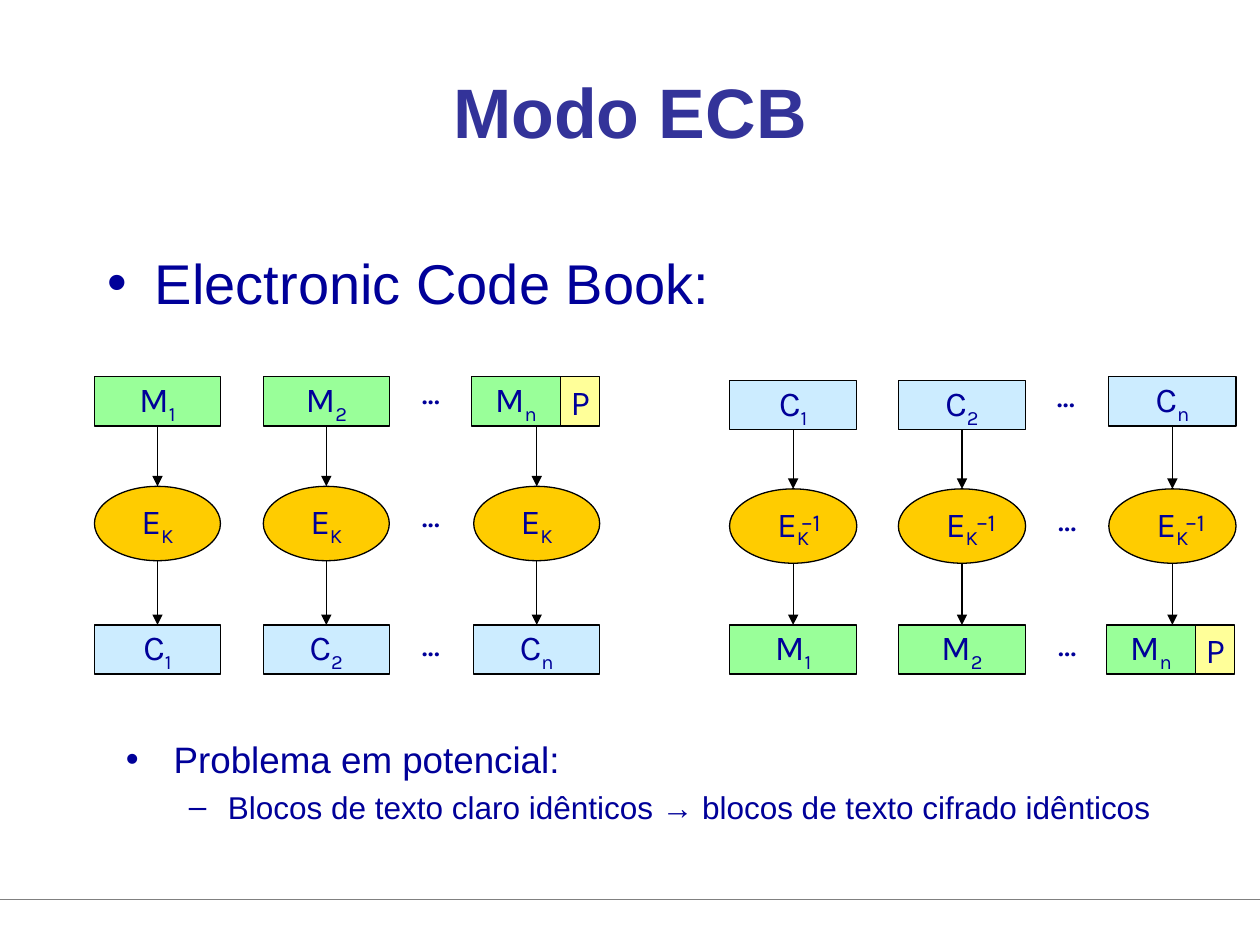
from lxml.etree import SubElement
from pptx import Presentation
from pptx.dml.color import RGBColor
from pptx.enum.shapes import MSO_CONNECTOR, MSO_SHAPE
from pptx.enum.text import MSO_ANCHOR, MSO_AUTO_SIZE, PP_ALIGN
from pptx.oxml.ns import qn
from pptx.util import Inches, Pt

NAVY, GREEN, BLUE, YELLOW, ORANGE = "000099", "99FF99", "CCECFF", "FFFF99", "FFCC00"
TOP, BOTTOM = 0, 2

prs = Presentation()
prs.slide_width, prs.slide_height = Inches(10), Inches(7.5)
s = prs.slides.add_slide(prs.slide_layouts[1])


def add_run(p, text, size, font="Karla", color=NAVY, baseline=0):
    r = p.add_run()
    r.text = text
    r.font.size, r.font.name = Pt(size), font
    r.font.color.rgb = RGBColor.from_string(color)
    if baseline:
        r.font._element.set("baseline", str(baseline * 1000))
    return r


def add_block(kind, x, y, w, h, fill, letter, sub=""):
    """Add an outlined shape labelled with a letter and its subscript."""
    sp = s.shapes.add_shape(kind, Inches(x), Inches(y), Inches(w), Inches(h))
    sp.shadow.inherit = False
    sp.fill.solid()
    sp.fill.fore_color.rgb = RGBColor.from_string(fill)
    sp.line.color.rgb = RGBColor.from_string("000000")
    sp.line.width = Pt(0.75)
    tf = sp.text_frame
    tf.word_wrap = False
    tf.vertical_anchor = MSO_ANCHOR.MIDDLE
    p = tf.paragraphs[0]
    p.alignment = PP_ALIGN.CENTER
    add_run(p, letter, 20)
    if sub:
        add_run(p, sub, 20, baseline=-25)
    return sp


# Title
title = s.shapes.title
title.left, title.top, title.width, title.height = map(Inches, (0.75, 0.25, 8.5, 1.25))
title.text_frame.auto_size = MSO_AUTO_SIZE.NONE
title.text_frame.vertical_anchor = MSO_ANCHOR.MIDDLE
p = title.text_frame.paragraphs[0]
p.alignment = PP_ALIGN.CENTER
add_run(p, "Modo ECB", 40, "Arial", "333399").font.bold = True

# Bulleted lists
body = s.placeholders[1]
body.left, body.top, body.width, body.height = map(Inches, (0.75, 1.92, 8.75, 0.73))
problem = s.shapes.add_textbox(*map(Inches, (0.9, 5.8, 8.75, 0.87)))
for sp, items in (
    (body, [("Electronic Code Book:", 32, 0, 3)]),
    (problem, [("Problema em potencial:", 21, 0, 2),
               ("Blocos de texto claro idênticos → blocos de texto cifrado idênticos", 18, 1, 4)]),
):
    tf = sp.text_frame
    tf.word_wrap = True
    tf.auto_size = MSO_AUTO_SIZE.NONE
    for i, (text, size, level, before) in enumerate(items):
        p = tf.add_paragraph() if i else tf.paragraphs[0]
        p.level, p.alignment, p.space_before = level, PP_ALIGN.JUSTIFY, Pt(before)
        pPr = p._p.get_or_add_pPr()
        pPr.set("marL", str(Inches((0.38, 0.81)[level])))
        pPr.set("indent", str(-Inches((0.38, 0.31)[level])))
        SubElement(pPr, qn("a:buFont")).set("typeface", "Arial")
        SubElement(pPr, qn("a:buChar")).set("char", "•–"[level])
        add_run(p, text, size, "Arial")

# Encryption on the left, decryption on the right
ROW_H, OVAL_H, OUT_Y = 0.39, 0.59, 4.96
PAD_W, LAST_W = 0.31, 0.71
lines = []  # (x1, y1, x2, y2, shape at start, shape at end)
for cols, w, in_ys, oval_y, source, result, dots in (
    ((0.75, 2.09, 3.76), 1, (2.99, 2.99, 2.99), 3.86, ("M", GREEN), ("C", BLUE),
     ((3.19, 2.88), (3.19, 3.86), (3.19, 4.88))),
    ((5.79, 7.13, 8.8), 1.01, (3.02, 3.02, 2.99), 3.88, ("C", BLUE), ("M", GREEN),
     ((8.23, 2.91), (8.24, 3.89), (8.24, 4.88))),
):
    for x, sub, in_y in zip(cols, "12n", in_ys):
        oval = add_block(MSO_SHAPE.OVAL, x, oval_y, w, OVAL_H, ORANGE, "E", "K")
        ends = []
        for (letter, fill), y in ((source, in_y), (result, OUT_Y)):
            padded = letter + sub == "Mn"
            if padded:
                left = x - 0.02
                add_block(MSO_SHAPE.RECTANGLE, left + LAST_W, y, PAD_W, ROW_H, YELLOW, "P")
                add_block(MSO_SHAPE.RECTANGLE, left, y, LAST_W, ROW_H, fill, letter, sub)
            else:
                box = add_block(MSO_SHAPE.RECTANGLE, x, y, w, ROW_H, fill, letter, sub)
            ends.append(None if padded else box)
        mid = x + w / 2
        lines.append((mid, in_y + ROW_H, mid, oval_y, ends[0], oval))
        lines.append((mid, oval_y + OVAL_H, mid, OUT_Y, None, ends[1]))
    for x, y in dots:
        tf = s.shapes.add_textbox(Inches(x), Inches(y), Inches(0.46), Inches(0.43)).text_frame
        tf.word_wrap = True
        p = tf.paragraphs[0]
        p.alignment = PP_ALIGN.CENTER
        add_run(p, "...", 20)

# Inverse exponents over the decryption ovals
for x in (6.26, 7.65, 9.31):
    tf = s.shapes.add_textbox(Inches(x), Inches(3.98), Inches(0.44), Inches(0.34)).text_frame
    tf.word_wrap = False
    p = tf.paragraphs[0]
    p.line_spacing = 0.9
    add_run(p, "–1", 24, baseline=30)

# Arrows and the footer rule
footer = (0, 7.14, 10, 7.14, None, None)
for line in lines + [footer]:
    *ends, start, end = line
    c = s.shapes.add_connector(MSO_CONNECTOR.STRAIGHT, *map(Inches, ends))
    if start:
        c.begin_connect(start, BOTTOM)
    if end:
        c.end_connect(end, TOP)
    c.line.width = Pt(0.75)
    c.line.color.rgb = RGBColor.from_string("808080" if line is footer else "000000")
    if line is not footer:
        SubElement(c.line._get_or_add_ln(), qn("a:tailEnd")).set("type", "triangle")
    SubElement(c._element.spPr, qn("a:effectLst"))

prs.save("out.pptx")
